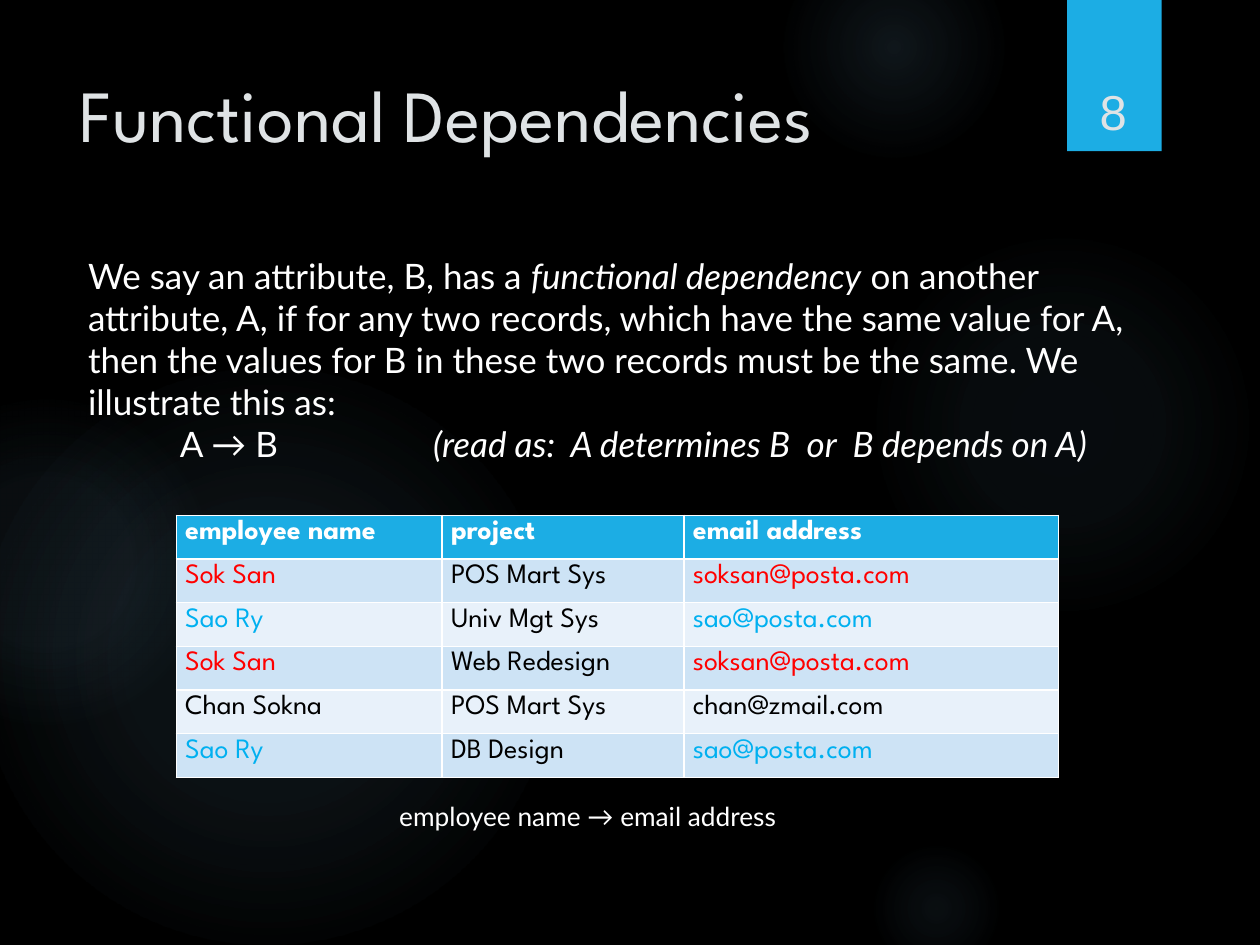
from lxml import etree
from pptx import Presentation
from pptx.dml.color import RGBColor
from pptx.enum.shapes import MSO_SHAPE
from pptx.enum.text import MSO_ANCHOR, PP_ALIGN
from pptx.oxml import parse_xml
from pptx.oxml.ns import nsdecls, qn
from pptx.util import Inches, Pt

OVAL, RECT = MSO_SHAPE.OVAL, MSO_SHAPE.RECTANGLE
BOTTOM, CENTER = MSO_ANCHOR.BOTTOM, PP_ALIGN.CENTER
BLACK = RGBColor(0x00, 0x00, 0x00)
WHITE = RGBColor(0xFF, 0xFF, 0xFF)
SILVER = RGBColor(0xDF, 0xE3, 0xE5)
BLUE = RGBColor(0x1C, 0xAD, 0xE4)
SKY = RGBColor(0x00, 0xB0, 0xF0)
RED = RGBColor(0xFF, 0x00, 0x00)
BANDS = RGBColor(0xE8, 0xF1, 0xFA), RGBColor(0xCD, 0xE3, 0xF5)
GLOW = RGBColor(0x70, 0xA1, 0xC0)
HEAD, BODY = "League Spartan", "Lato"

deck = Presentation()
deck.slide_width, deck.slide_height = Inches(10), Inches(7.5)
COL, ROW = deck.slide_width / 100, deck.slide_height / 75
slide = deck.slides.add_slide(deck.slide_layouts[6])
slide.background.fill.solid()
slide.background.fill.fore_color.rgb = BLACK


def grid(x, y, wide, high):
    """Turn columns and rows of a 100 by 75 grid into slide lengths."""
    return int(x * COL), int(y * ROW), int(wide * COL), int(high * ROW)


def write(place, lines, size, face, color):
    """Add a text box; each line is an indent in columns and its (text, italic) runs."""
    box = slide.shapes.add_textbox(*grid(*place))
    frame = box.text_frame
    frame.word_wrap = True
    for i, (indent, parts) in enumerate(lines):
        para = frame.add_paragraph() if i else frame.paragraphs[0]
        if indent:
            para._p.get_or_add_pPr().set("marL", str(int(indent * COL)))
        for text, slant in parts:
            run = para.add_run()
            run.text = text
            run.font.size, run.font.name = Pt(size), face
            run.font.italic = slant
            run.font.color.rgb = color
    return frame


# Soft glows: left, top, diameter, then (stop, opacity) in percent
glows = [
    (68.9, 18.3, 30.8, [(0, 7), (36, 6), (69, 0)]),
    (62.2, -5, 17.5, [(0, 14), (36, 7), (73, 0)]),
    (68.9, 66.7, 10.8, [(0, 9), (36, 5), (66, 0)]),
    (-1.7, 29.2, 45.8, [(0, 11), (36, 10), (75, 0)]),
    (-9.2, 31.7, 25.8, [(0, 8), (36, 8), (72, 0)]),
]
for x, y, size, stops in glows:
    glow = slide.shapes.add_shape(OVAL, *grid(x, y, size, size))
    glow.shadow.inherit = False
    glow.line.fill.background()
    marks = "".join(
        f'<a:gs pos="{pos * 1000}"><a:srgbClr val="{GLOW}">'
        f'<a:alpha val="{alpha * 1000}"/></a:srgbClr></a:gs>'
        for pos, alpha in stops)
    glow._element.spPr.find(qn("a:prstGeom")).addnext(parse_xml(
        f'<a:gradFill {nsdecls("a")}><a:gsLst>{marks}</a:gsLst><a:path path="circle">'
        '<a:fillToRect l="50000" t="50000" r="50000" b="50000"/></a:path></a:gradFill>'))

# Page ribbon
ribbon = slide.shapes.add_shape(RECT, *grid(84.7, 0, 7.5, 12))
ribbon.shadow.inherit = False
ribbon.fill.solid()
ribbon.fill.fore_color.rgb = BLUE
ribbon.line.fill.background()
shade = ribbon._element.spPr.find(qn("a:effectLst"))
drop = etree.SubElement(shade, qn("a:outerShdw"), blurRad=str(Pt(3)),
                        dist=str(Pt(2)), dir="5400000")
tint = etree.SubElement(drop, qn("a:srgbClr"), val=str(BLACK))
etree.SubElement(tint, qn("a:alpha"), val="45000")

# Title, definition and caption
write((5.3, 5, 77.2, 15.3), [(0, [("Functional Dependencies", False)])], 42, HEAD, SILVER)
body = write((6, 19.7, 85.8, 17.8), [
    (0, [("We say an attribute, B, has a ", False), ("functional dependency", True),
         (" on another attribute, A, if for any two records, which have the same value "
          "for A, then the values for B in these two records must be the same. "
          "We illustrate this as:", False)]),
    (7.3, [("A → B\t", False),
           ("(read as:  A determines B  or  B depends on A)", True)]),
], 20, BODY, WHITE)
tabs = etree.SubElement(body.paragraphs[1]._p.pPr, qn("a:tabLst"))
etree.SubElement(tabs, qn("a:tab"), pos=str(int(20.1 * COL)), algn="l")
write((20.7, 63, 63.1, 3.5), [(10, [("employee name → email address", False)])],
      15, BODY, WHITE)

# Records, coloured by employee
records = [
    ("employee name", "project", "email address"),
    ("Sok San", "POS Mart Sys", "soksan@posta.com"),
    ("Sao Ry", "Univ Mgt Sys", "sao@posta.com"),
    ("Sok San", "Web Redesign", "soksan@posta.com"),
    ("Chan Sokna", "POS Mart Sys", "chan@zmail.com"),
    ("Sao Ry", "DB Design", "sao@posta.com"),
]
inks = {"Sok San": RED, "Sao Ry": SKY}
table = slide.shapes.add_table(len(records), 3, *grid(14, 40.9, 70, 20.5)).table
for col, wide in zip(table.columns, (21.1, 19.2, 29.7)):
    col.width = int(wide * COL)
for r, record in enumerate(records):
    for c, text in enumerate(record):
        cell = table.cell(r, c)
        cell.margin_left = cell.margin_right = int(0.7 * COL)
        cell.margin_top = cell.margin_bottom = int(0.4 * ROW)
        cell.fill.solid()
        cell.fill.fore_color.rgb = BANDS[r % 2] if r else BLUE
        cell.text_frame.text = text
        font = cell.text_frame.paragraphs[0].runs[0].font
        font.size, font.name, font.bold = Pt(16), HEAD, r == 0
        ink = BLACK if c == 1 else inks.get(record[0], BLACK)
        font.color.rgb = ink if r else WHITE

# Page number
page = write((84.9, 3.2, 6.9, 8.4), [(0, [("8", False)])], 28, "Arial", SILVER)
page.vertical_anchor = BOTTOM
page.paragraphs[0].alignment = CENTER

deck.save("out.pptx")
